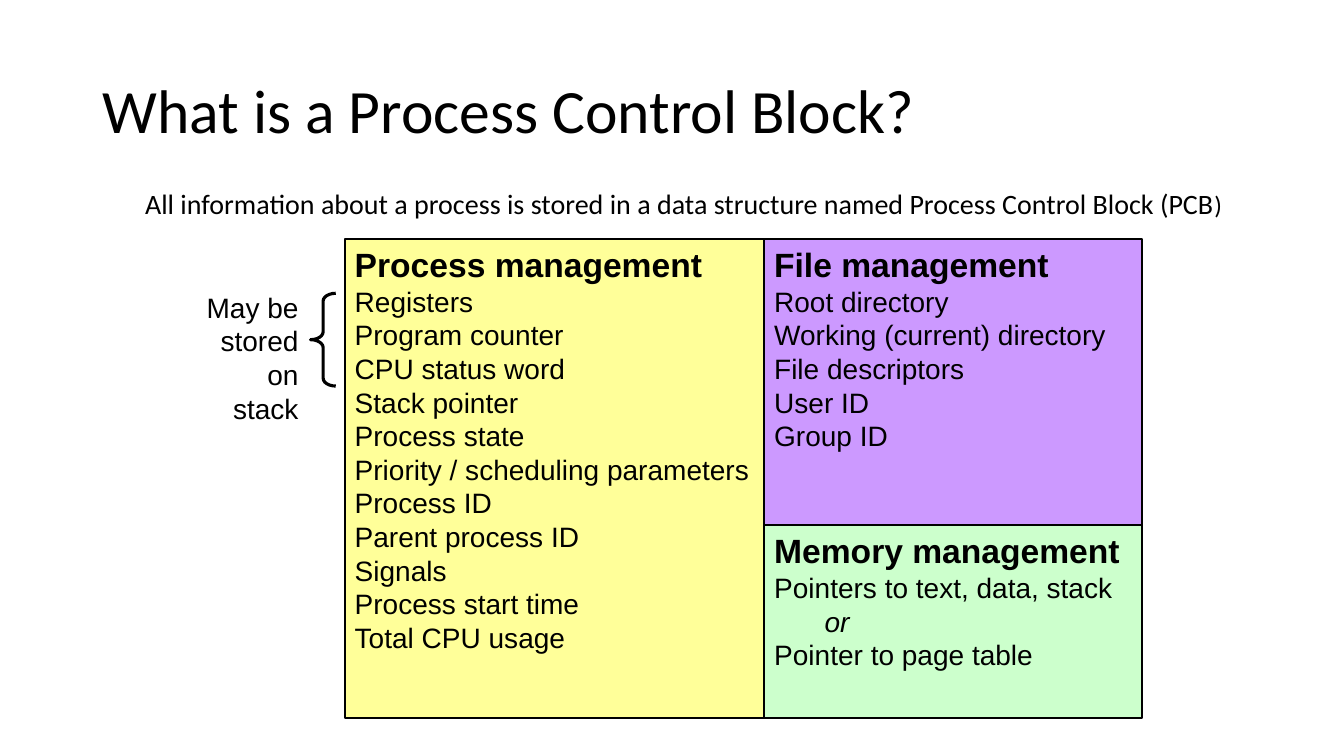
from pptx import Presentation
from pptx.dml.color import RGBColor
from pptx.enum.shapes import MSO_SHAPE
from pptx.enum.text import MSO_ANCHOR, MSO_AUTO_SIZE, PP_ALIGN
from pptx.util import Inches, Pt

COLORS = {
    "ink": "000000",
    "process": "FFFF99",
    "file": "CC99FF",
    "memory": "CCFFCC",
}

TITLE = "What is a Process Control Block?"
INTRO = [
    ("All information about a process is stored in a data structure "
     "named Process Control Block (PCB", 20),
    (")", 18),
]
STACK_NOTE = "May be\vstored\von stack"

PROCESS_FIELDS = [
    "Registers", "Program counter", "CPU status word", "Stack pointer",
    "Process state", "Priority / scheduling parameters", "Process ID",
    "Parent process ID", "Signals", "Process start time", "Total CPU usage",
]
FILE_FIELDS = [
    "Root directory", "Working (current) directory", "File descriptors",
    "User ID", "Group ID",
]
MEMORY_FIELDS = ["Pointers to text, data, stack", "\tor", "Pointer to page table"]
ITALIC_FIELDS = {"\tor"}

# The three blocks tile one rectangle
LEFT, TOP, BOTTOM = 3.42, 2.37, 7.12
SPLIT_X, SPLIT_Y = 7.58, 5.21
RIGHT = 11.33

# heading, fields, colour, left, top, right, bottom
BLOCKS = [
    ("File management", FILE_FIELDS, "file", SPLIT_X, TOP, RIGHT, SPLIT_Y),
    ("Memory management", MEMORY_FIELDS, "memory", SPLIT_X, SPLIT_Y, RIGHT, BOTTOM),
    ("Process management", PROCESS_FIELDS, "process", LEFT, TOP, SPLIT_X, BOTTOM),
]


def rgb(name):
    return RGBColor.from_string(COLORS[name])


def format_font(font, size, name="Arial", bold=False, italic=False):
    font.size = Pt(size)
    font.name = name
    font.bold = bold
    font.italic = italic
    font.color.rgb = rgb("ink")


def write(para, text, align=PP_ALIGN.LEFT, **style):
    """Fill a paragraph; a vertical tab in the text becomes a line break."""
    para.text = text
    para.alignment = align
    for span in para.runs:
        format_font(span.font, **style)


def add_shape(page, kind, left, top, width, height, line_width, fill=None):
    shape = page.shapes.add_shape(
        kind, Inches(left), Inches(top), Inches(width), Inches(height))
    shape.shadow.inherit = False
    shape.line.color.rgb = rgb("ink")
    shape.line.width = Pt(line_width)
    if fill:
        shape.fill.solid()
        shape.fill.fore_color.rgb = rgb(fill)
    else:
        shape.fill.background()
    return shape


def add_block(page, heading, fields, color, left, top, right, bottom):
    block = add_shape(page, MSO_SHAPE.RECTANGLE, left, top,
                      right - left, bottom - top, 1.5, color)
    frame = block.text_frame
    frame.word_wrap = True
    frame.vertical_anchor = MSO_ANCHOR.TOP
    write(frame.paragraphs[0], heading, size=24, bold=True)
    for field in fields:
        write(frame.add_paragraph(), field, size=20, italic=field in ITALIC_FIELDS)


def add_text_box(page, left, top, width, height):
    box = page.shapes.add_textbox(
        Inches(left), Inches(top), Inches(width), Inches(height))
    box.text_frame.word_wrap = True
    box.text_frame.auto_size = MSO_AUTO_SIZE.SHAPE_TO_FIT_TEXT
    return box.text_frame.paragraphs[0]


def add_title(page):
    title = page.shapes.title
    title.left, title.top = Inches(0.92), Inches(0.4)
    title.width, title.height = Inches(11.5), Inches(1.45)
    title.text_frame.vertical_anchor = MSO_ANCHOR.MIDDLE
    para = title.text_frame.paragraphs[0]
    write(para, TITLE, size=44, name="Calibri")
    para.line_spacing = 0.9


def main():
    deck = Presentation()
    deck.slide_width, deck.slide_height = Inches(13.33), Inches(7.5)
    page = deck.slides.add_slide(deck.slide_layouts[5])

    add_title(page)
    for block in BLOCKS:
        add_block(page, *block)

    brace = add_shape(page, MSO_SHAPE.LEFT_BRACE, 3.08, 2.91, 0.25, 0.92, 2.25)
    brace.adjustments[0] = 0.31
    write(add_text_box(page, 1.83, 2.83, 1.23, 1.1), STACK_NOTE,
          align=PP_ALIGN.RIGHT, size=20)

    intro = add_text_box(page, 1.34, 1.8, 11.15, 0.44)
    for text, size in INTRO:
        span = intro.add_run()
        span.text = text
        format_font(span.font, size, name="Calibri")

    deck.save("out.pptx")


if __name__ == "__main__":
    main()
